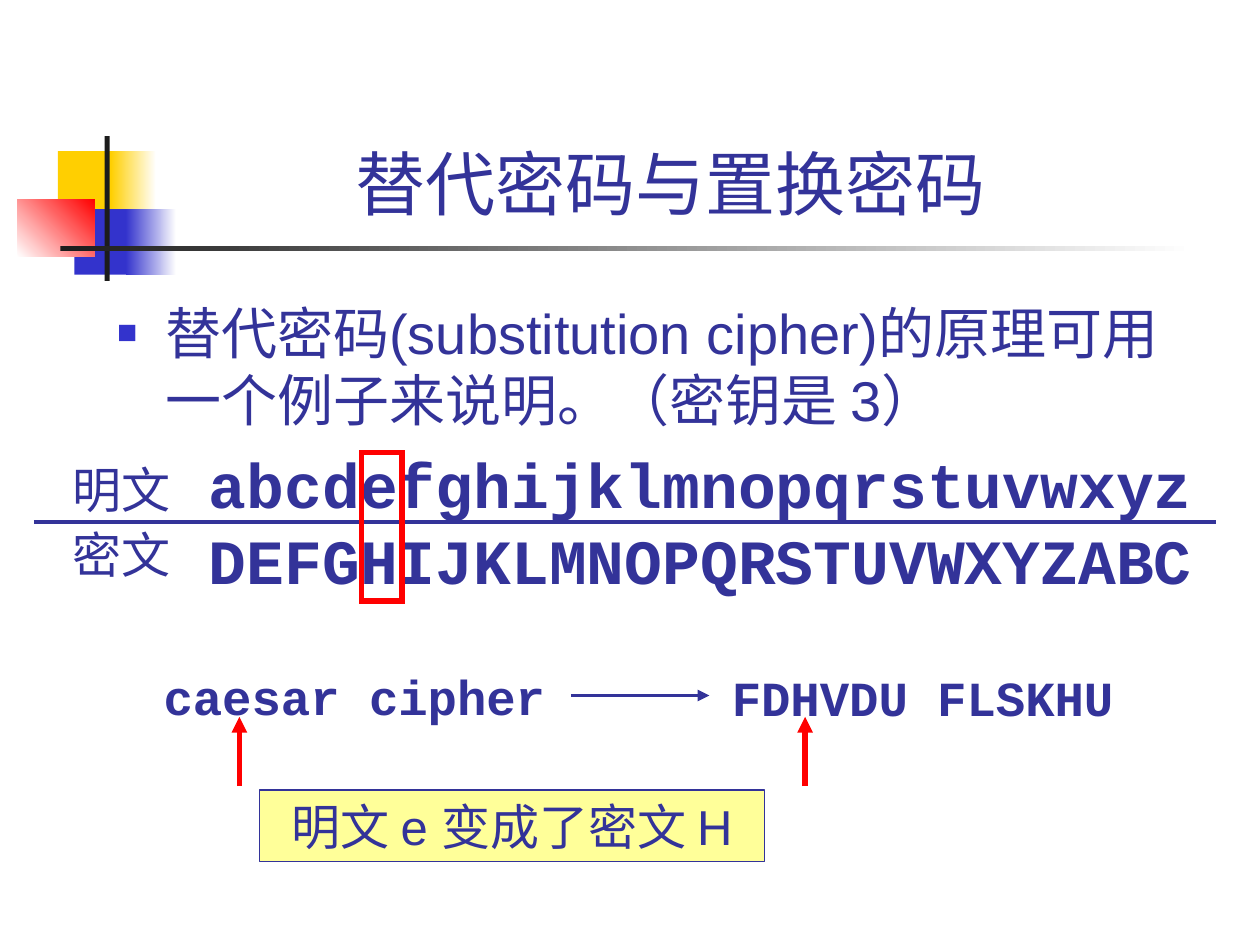
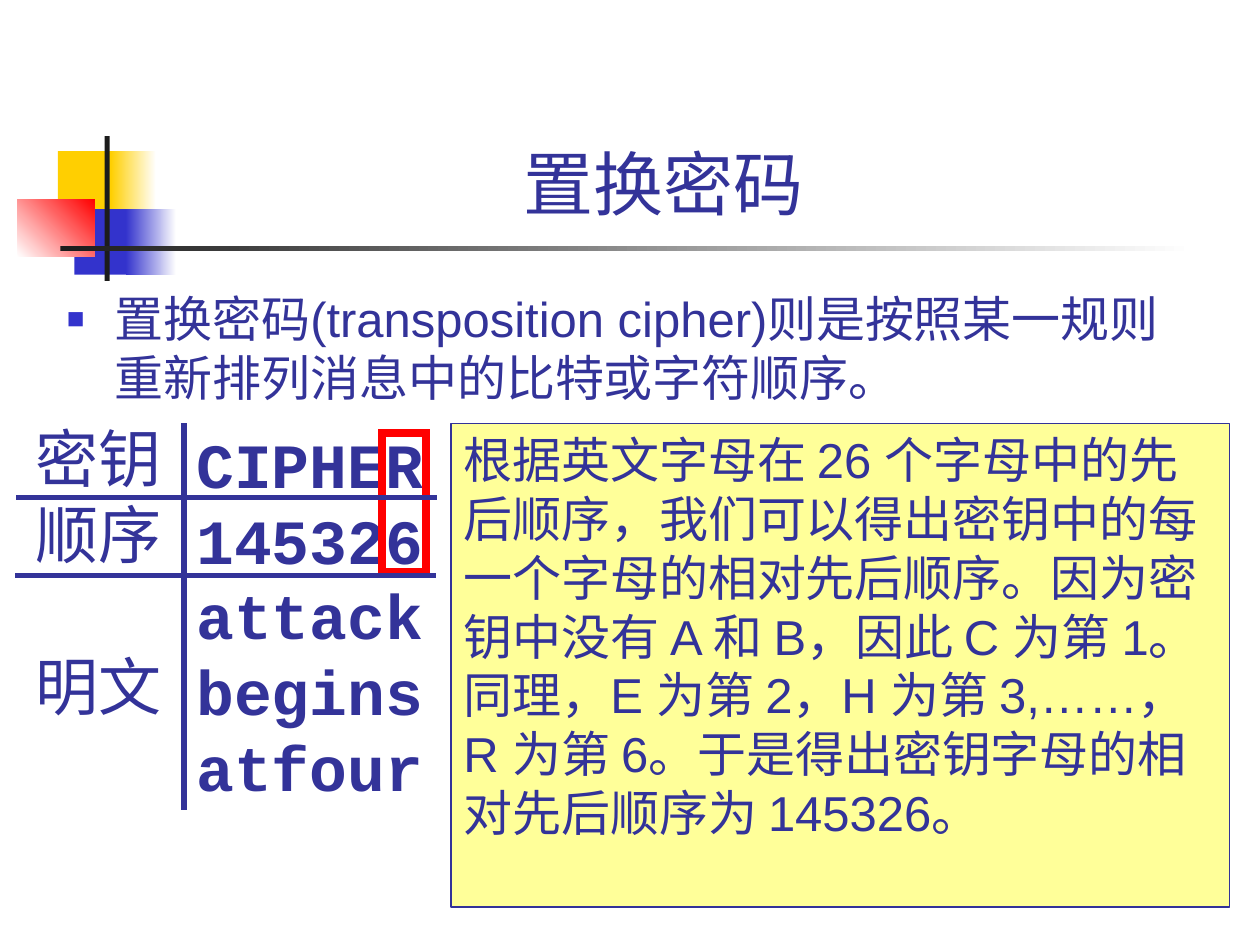
from dataclasses import dataclass

from lxml.etree import SubElement
from pptx import Presentation
from pptx.dml.color import RGBColor
from pptx.enum.shapes import MSO_CONNECTOR, MSO_SHAPE
from pptx.enum.text import MSO_ANCHOR, MSO_AUTO_SIZE, PP_ALIGN
from pptx.oxml.ns import qn
from pptx.slide import Slide
from pptx.text.text import TextFrame, _Paragraph
from pptx.util import Inches, Pt


@dataclass(frozen=True)
class Theme:
    ink: str = "333399"
    blue: str = "3333CC"
    yellow: str = "FFCF01"
    red: str = "FF0000"
    black: str = "1C1C1C"
    white: str = "FFFFFF"
    note: str = "FFFF99"
    font: str = "Arial"
    label_font: str = "Cabin"
    code_font: str = "Courier New"
    title_size: int = 40
    large: int = 36
    lead: int = 32
    medium: int = 28


THEME = Theme()


@dataclass(frozen=True)
class Box:
    left: float
    top: float
    width: float
    height: float

    def lengths(self) -> tuple:
        return tuple(Inches(value) for value in (self.left, self.top, self.width, self.height))


@dataclass(frozen=True)
class Block:
    """A filled decorative block; a second colour makes it fade, at a counter-clockwise angle."""
    box: Box
    color: str
    fade_to: str = ""
    angle: float = 0


@dataclass(frozen=True)
class TextBlock:
    box: Box
    lines: tuple
    font: str
    size: int
    bold: bool = False
    wrap: bool = False
    framed: bool = False
    align: PP_ALIGN = PP_ALIGN.LEFT
    line_spacing: float = 1.0
    gap_before_last: float = 0


@dataclass(frozen=True)
class Line:
    start: tuple
    end: tuple
    color: str = THEME.ink
    width: float = 3
    arrow: bool = False


BLOCKS = (
    Block(Box(0.46, 1.2, 0.48, 0.52), THEME.yellow),
    Block(Box(0.88, 1.2, 0.36, 0.52), THEME.yellow, THEME.white),
    Block(Box(0.59, 1.66, 0.46, 0.52), THEME.blue),
    Block(Box(1, 1.66, 0.4, 0.52), THEME.blue, THEME.white),
    Block(Box(0.14, 1.58, 0.61, 0.46), THEME.white, THEME.red, 45),
    Block(Box(0.83, 1.08, 0.04, 1.15), THEME.black),
    Block(Box(0.48, 1.95, 9, 0.04), THEME.black, THEME.white),
)


def rgb(color: str) -> RGBColor:
    return RGBColor.from_string(color)


def add_block(slide: Slide, block: Block) -> None:
    shape = slide.shapes.add_shape(MSO_SHAPE.RECTANGLE, *block.box.lengths())
    shape.shadow.inherit = False
    shape.line.fill.background()
    if block.fade_to:
        shape.fill.gradient()
        shape.fill.gradient_angle = block.angle
        for stop, color in zip(shape.fill.gradient_stops, (block.color, block.fade_to)):
            stop.color.rgb = rgb(color)
    else:
        shape.fill.solid()
        shape.fill.fore_color.rgb = rgb(block.color)


def add_highlight(slide: Slide, box: Box, width: float) -> None:
    """Outline one column of letters in red, with square corners."""
    shape = slide.shapes.add_shape(MSO_SHAPE.RECTANGLE, *box.lengths())
    shape.shadow.inherit = False
    shape.fill.background()
    shape.line.color.rgb = rgb(THEME.red)
    shape.line.width = Pt(width)
    SubElement(shape.line._get_or_add_ln(), qn("a:miter"), lim="800000")


def add_line(slide: Slide, line: Line) -> None:
    points = [Inches(value) for value in (*line.start, *line.end)]
    connector = slide.shapes.add_connector(MSO_CONNECTOR.STRAIGHT, *points)
    connector.line.color.rgb = rgb(line.color)
    connector.line.width = Pt(line.width)
    if line.arrow:
        SubElement(connector.line._get_or_add_ln(), qn("a:tailEnd"), type="triangle")
    SubElement(connector._element.spPr, qn("a:effectLst"))


def write_run(paragraph: _Paragraph, text: str, font: str, size: int, bold: bool = False) -> None:
    run = paragraph.add_run()
    run.text = text
    run.font.name = font
    run.font.size = Pt(size)
    run.font.bold = bold
    run.font.color.rgb = rgb(THEME.ink)


def add_text(slide: Slide, block: TextBlock) -> None:
    shape = slide.shapes.add_textbox(*block.box.lengths())
    if block.framed:
        shape.fill.solid()
        shape.fill.fore_color.rgb = rgb(THEME.note)
        shape.line.color.rgb = rgb(THEME.ink)
        shape.line.width = Pt(0.75)
    frame = shape.text_frame
    frame.word_wrap = block.wrap
    frame.auto_size = MSO_AUTO_SIZE.SHAPE_TO_FIT_TEXT
    for index, text in enumerate(block.lines):
        paragraph = frame.add_paragraph() if index else frame.paragraphs[0]
        paragraph.alignment = block.align
        paragraph.line_spacing = block.line_spacing
        write_run(paragraph, text, block.font, block.size, block.bold)
    if block.gap_before_last:
        frame.paragraphs[-1].space_before = Pt(block.gap_before_last)


def place(shape, box: Box, anchor: MSO_ANCHOR) -> TextFrame:
    """Move a placeholder and return its text frame."""
    shape.left, shape.top, shape.width, shape.height = box.lengths()
    frame = shape.text_frame
    frame.auto_size = MSO_AUTO_SIZE.NONE
    frame.word_wrap = True
    frame.vertical_anchor = anchor
    return frame


def add_square_bullet(paragraph: _Paragraph) -> None:
    properties = paragraph._p.get_or_add_pPr()
    properties.set("marL", str(Inches(0.38)))
    properties.set("indent", str(Inches(-0.38)))
    color = SubElement(properties, qn("a:buClr"))
    SubElement(color, qn("a:srgbClr"), val=THEME.blue)
    SubElement(properties, qn("a:buSzPct"), val="60000")
    SubElement(properties, qn("a:buFont"), typeface=THEME.font)
    SubElement(properties, qn("a:buChar"), char="■")


def start_slide(presentation, title: str, title_box: Box,
                body: str, body_box: Box, body_size: int) -> Slide:
    """Add a slide with the shared blocks, a title and one bullet."""
    slide = presentation.slides.add_slide(presentation.slide_layouts[1])
    for block in BLOCKS:
        add_block(slide, block)
    heading = place(slide.shapes.title, title_box, MSO_ANCHOR.BOTTOM).paragraphs[0]
    heading.alignment = PP_ALIGN.CENTER
    write_run(heading, title, THEME.font, THEME.title_size)
    bullet = place(slide.placeholders[1], body_box, MSO_ANCHOR.TOP).paragraphs[0]
    add_square_bullet(bullet)
    bullet.space_before = Pt(0)
    write_run(bullet, body, THEME.font, body_size)
    return slide


def build_substitution(presentation) -> None:
    slide = start_slide(
        presentation, "替代密码与置换密码", Box(0.83, 0.23, 8.98, 1.6),
        "替代密码(substitution cipher)的原理可用一个例子来说明。（密钥是 3）",
        Box(0.83, 2.32, 8.66, 4.03), THEME.lead)
    alphabets = ("abcdefghijklmnopqrstuvwxyz", "DEFGHIJKLMNOPQRSTUVWXYZABC")
    for block in (
        TextBlock(Box(1.56, 3.49, 8, 1.3), alphabets, THEME.code_font, THEME.large, bold=True),
        TextBlock(Box(1.2, 5.24, 3.23, 0.57), ("caesar cipher",),
                  THEME.code_font, THEME.medium, bold=True),
        TextBlock(Box(5.71, 5.25, 3.23, 0.57), ("FDHVDU FLSKHU",),
                  THEME.code_font, THEME.medium, bold=True),
        TextBlock(Box(0.48, 3.55, 1.05, 1.13), ("明文", "密文"),
                  THEME.label_font, THEME.medium, wrap=True, line_spacing=1.1),
        TextBlock(Box(2.06, 6.27, 4.01, 0.57), ("明文 e 变成了密文 H",),
                  THEME.font, THEME.medium, wrap=True, framed=True, align=PP_ALIGN.CENTER),
    ):
        add_text(slide, block)
    add_line(slide, Line((4.53, 5.52), (5.63, 5.52), width=2.25, arrow=True))
    add_line(slide, Line((0.27, 4.14), (9.65, 4.14), width=2.25))
    add_highlight(slide, Box(2.87, 3.59, 0.32, 1.18), 3)
    for letter_x in (1.9, 6.39):
        add_line(slide, Line((letter_x, 6.24), (letter_x, 5.69), THEME.red, arrow=True))


def build_transposition(presentation) -> None:
    slide = start_slide(
        presentation, "置换密码", Box(0.75, 0.23, 9.03, 1.6),
        "置换密码(transposition cipher)则是按照某一规则重新排列消息中的比特或字符顺序。",
        Box(0.43, 2.24, 9.21, 4.5), THEME.medium)
    explanation = (
        "根据英文字母在 26 个字母中的先后顺序，我们可以得出密钥中的每一个字母的相对先后顺序。"
        "因为密钥中没有 A 和 B，因此 C 为第 1。同理，E 为第 2，H 为第 3,……，R 为第 6。"
        "于是得出密钥字母的相对先后顺序为 145326。")
    add_text(slide, TextBlock(
        Box(1.46, 3.33, 2, 3.1), ("CIPHER", "145326", "attack", "begins", "atfour"),
        THEME.code_font, THEME.large, bold=True))
    add_highlight(slide, Box(3.03, 3.44, 0.35, 1.1), 4.5)
    add_text(slide, TextBlock(
        Box(0.18, 3.28, 1.25, 2.5), ("密钥", "顺序", "明文"),
        THEME.label_font, THEME.large, wrap=True, gap_before_last=44))
    add_text(slide, TextBlock(
        Box(3.58, 3.36, 6.18, 3.84), (explanation,),
        THEME.font, THEME.medium, wrap=True, framed=True))
    for line in (
        Line((0.13, 3.95), (3.47, 3.95)),
        Line((0.12, 4.57), (3.46, 4.57)),
        Line((1.46, 3.36), (1.46, 6.43)),
    ):
        add_line(slide, line)


def main() -> None:
    presentation = Presentation()
    presentation.slide_width = Inches(10)
    presentation.slide_height = Inches(7.5)
    build_substitution(presentation)
    build_transposition(presentation)
    presentation.save("out.pptx")


if __name__ == "__main__":
    main()
